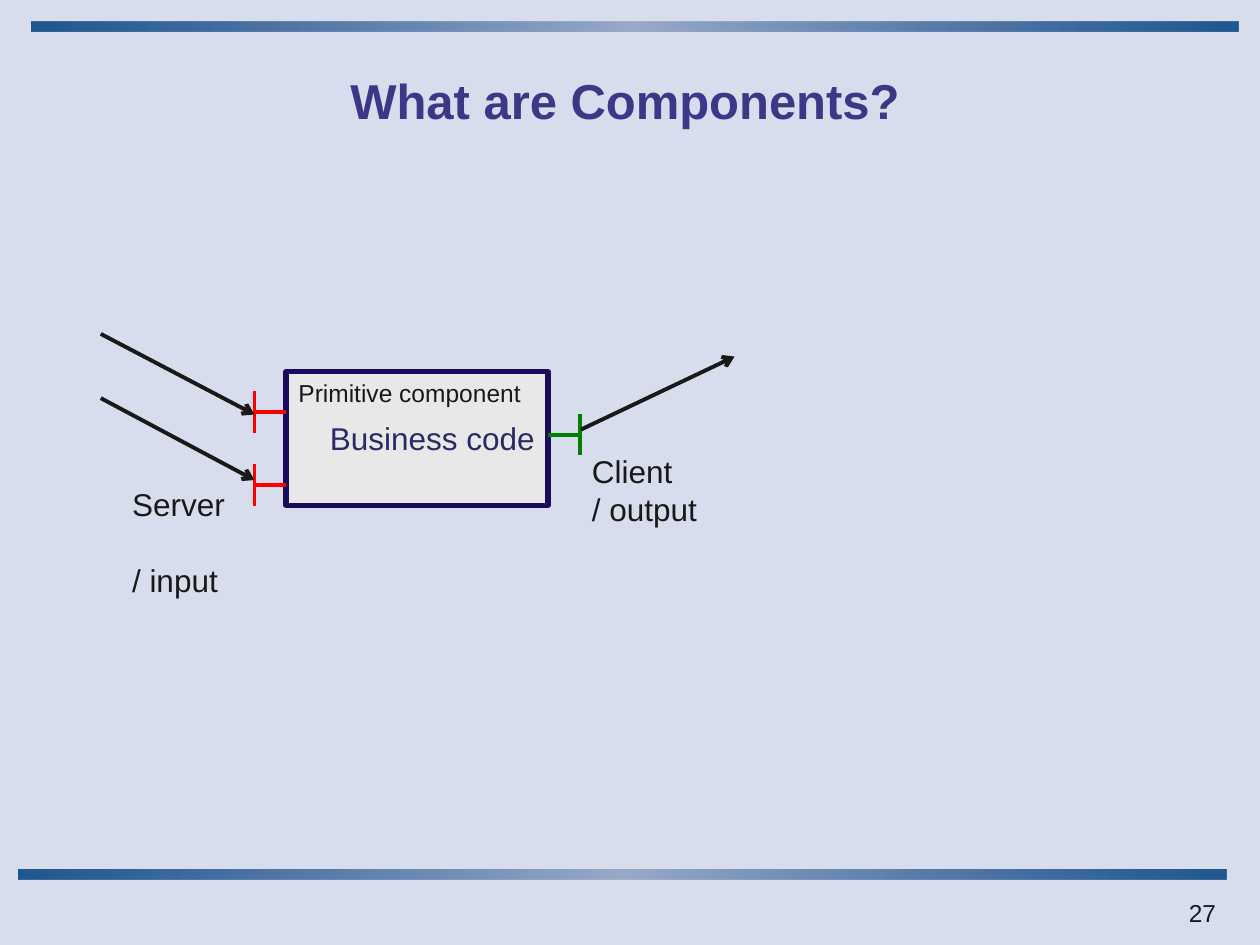
from dataclasses import dataclass

from lxml.etree import SubElement
from pptx import Presentation
from pptx.dml.color import RGBColor
from pptx.enum.shapes import MSO_CONNECTOR, MSO_SHAPE
from pptx.enum.text import MSO_ANCHOR, MSO_AUTO_SIZE, PP_ALIGN
from pptx.oxml.ns import qn
from pptx.util import Inches, Pt


@dataclass(frozen=True)
class Theme:
    font: str = "Arial"
    background: str = "D8DDED"
    bar_edge: str = "004080"
    bar_middle: str = "9BAAC9"
    title: str = "3B3887"
    ink: str = "191919"
    code: str = "2C2A65"
    box_fill: str = "E8E8E8"
    box_line: str = "1A0C5D"
    server: str = "FF0000"
    client: str = "008000"
    title_size: int = 28
    label_size: int = 18
    small_size: int = 14
    line_width: float = 2.25
    box_line_width: float = 3


THEME = Theme()

# Content: places are left, top, width, height in inches
TITLE = ("What are Components?", (0.44, 0.33, 9.04, 0.92))
PAGE_NUMBER = ("27", (7.92, 7.08, 1.83, 0.25))
BARS = [(0.25, 0.17), (0.15, 6.9)]
BAR_SIZE = (9.58, 0.08)
COMPONENT = (2.27, 2.95, 2.08, 1.06)
# text lines, place, size, colour, space before later lines in points
LABELS = [
    (["Business code"], (2.52, 3.28, 1.84, 0.4), THEME.label_size, THEME.code, 0),
    (["Primitive component"], (2.27, 2.95, 1.98, 0.34), THEME.small_size, THEME.ink, 0),
    (["Server", "/ input"], (0.95, 3.8, 0.94, 0.71), THEME.label_size, THEME.ink, 22),
    (["Client", "/ output"], (4.6, 3.54, 1.04, 0.71), THEME.label_size, THEME.ink, 0),
]
# side of the component (-1 left, 1 right), height of the stub, colour
PORTS = [(-1, 3.27, THEME.server), (-1, 3.85, THEME.server), (1, 3.45, THEME.client)]
PORT_LENGTH, PORT_HEIGHT = 0.25, 0.33
CALLS = [
    ((0.8, 2.65), (2.02, 3.29)),
    ((0.8, 3.16), (2.02, 3.81)),
    ((4.61, 3.41), (5.83, 2.83)),
]


def color(value):
    return RGBColor.from_string(value)


def lengths(values):
    return [Inches(value) for value in values]


def add_bar(page, corner):
    bar = page.shapes.add_shape(MSO_SHAPE.RECTANGLE, *lengths(corner + BAR_SIZE))
    bar.shadow.inherit = False
    bar.line.fill.background()
    bar.fill.gradient()
    bar.fill.gradient_angle = 0
    stops = bar._element.spPr.find(qn("a:gradFill")).find(qn("a:gsLst"))
    for stop in list(stops):
        stops.remove(stop)
    for position, value, opacity in [
        (0, THEME.bar_edge, 85), (50, THEME.bar_middle, 100), (100, THEME.bar_edge, 85)
    ]:
        stop = SubElement(stops, qn("a:gs"), pos=str(position * 1000))
        shade = SubElement(stop, qn("a:srgbClr"), val=value)
        if opacity < 100:
            SubElement(shade, qn("a:alpha"), val=str(opacity * 1000))


def add_text(page, lines, place, size, value, align=PP_ALIGN.LEFT, gap=0, bold=False):
    box = page.shapes.add_textbox(*lengths(place))
    frame = box.text_frame
    frame.text = "\n".join(lines)
    for index, para in enumerate(frame.paragraphs):
        para.alignment = align
        para.space_before = Pt(gap if index else 0)
        para.font.name = THEME.font
        para.font.size = Pt(size)
        para.font.bold = bold
        para.font.color.rgb = color(value)
    return frame


def add_line(page, start, end, value, arrow=False):
    line = page.shapes.add_connector(MSO_CONNECTOR.STRAIGHT, *lengths(start + end))
    line.line.width = Pt(THEME.line_width)
    line.line.color.rgb = color(value)
    if arrow:
        SubElement(line.line._get_or_add_ln(), qn("a:tailEnd"), type="arrow")
    SubElement(line._element.spPr, qn("a:effectLst"))


def add_port(page, side, y, value):
    left, _, width, _ = COMPONENT
    edge = left if side < 0 else left + width
    tip = edge + side * PORT_LENGTH
    add_line(page, (edge, y), (tip, y), value)
    add_line(page, (tip, y - PORT_HEIGHT / 2), (tip, y + PORT_HEIGHT / 2), value)


def main():
    deck = Presentation()
    deck.slide_width, deck.slide_height = Inches(10), Inches(7.5)
    page = deck.slides.add_slide(deck.slide_layouts[6])
    page.background.fill.solid()
    page.background.fill.fore_color.rgb = color(THEME.background)

    # Frame: bars, title and page number
    for corner in BARS:
        add_bar(page, corner)
    text, place = TITLE
    title = add_text(page, [text], place, THEME.title_size, THEME.title,
                     PP_ALIGN.CENTER, bold=True)
    title.word_wrap = True
    title.vertical_anchor = MSO_ANCHOR.MIDDLE
    text, place = PAGE_NUMBER
    number = add_text(page, [text], place, THEME.small_size, THEME.ink, PP_ALIGN.RIGHT)
    number.word_wrap = True

    # Component box
    component = page.shapes.add_shape(MSO_SHAPE.RECTANGLE, *lengths(COMPONENT))
    component.shadow.inherit = False
    component.fill.solid()
    component.fill.fore_color.rgb = color(THEME.box_fill)
    component.line.color.rgb = color(THEME.box_line)
    component.line.width = Pt(THEME.box_line_width)

    # Labels
    for lines, place, size, value, gap in LABELS:
        label = add_text(page, lines, place, size, value, gap=gap)
        label.word_wrap = False
        label.auto_size = MSO_AUTO_SIZE.SHAPE_TO_FIT_TEXT

    # Ports and the calls that reach or leave them
    for side, y, value in PORTS:
        add_port(page, side, y, value)
    for start, end in CALLS:
        add_line(page, start, end, THEME.ink, arrow=True)

    deck.save("out.pptx")


if __name__ == "__main__":
    main()
